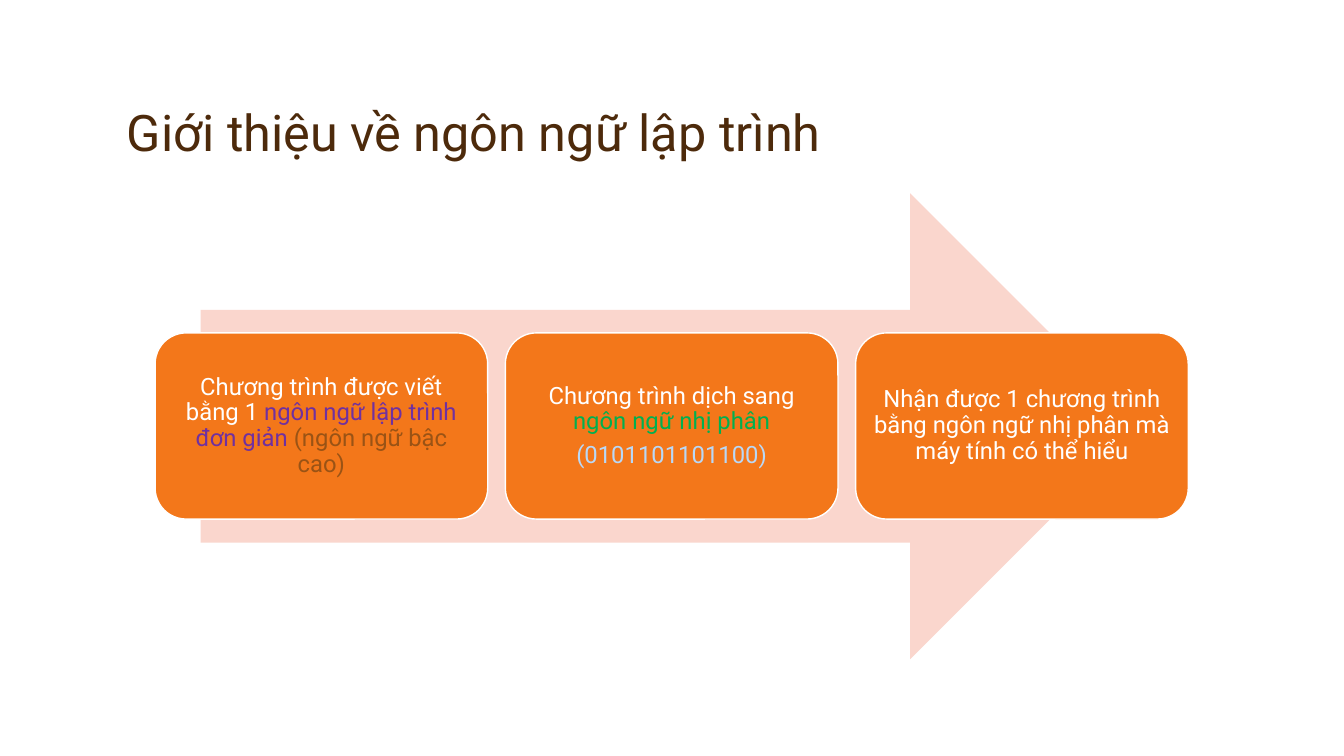
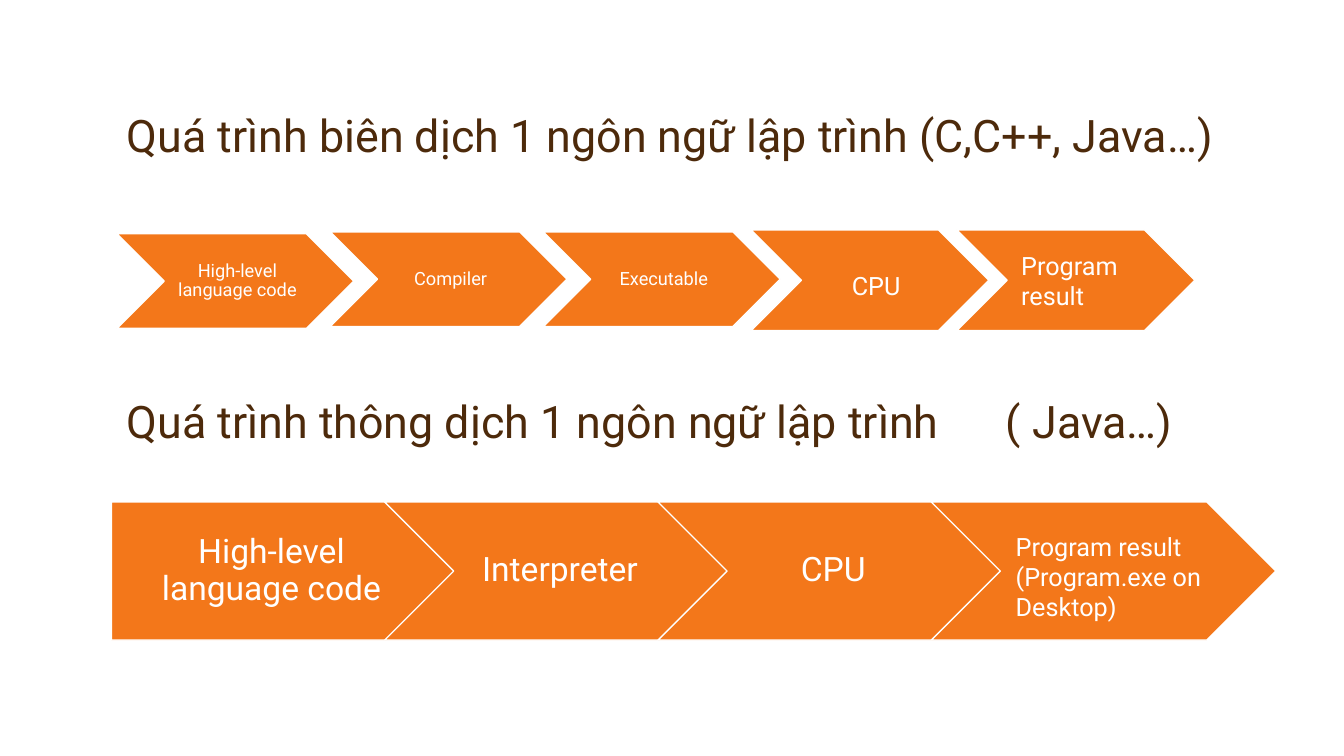
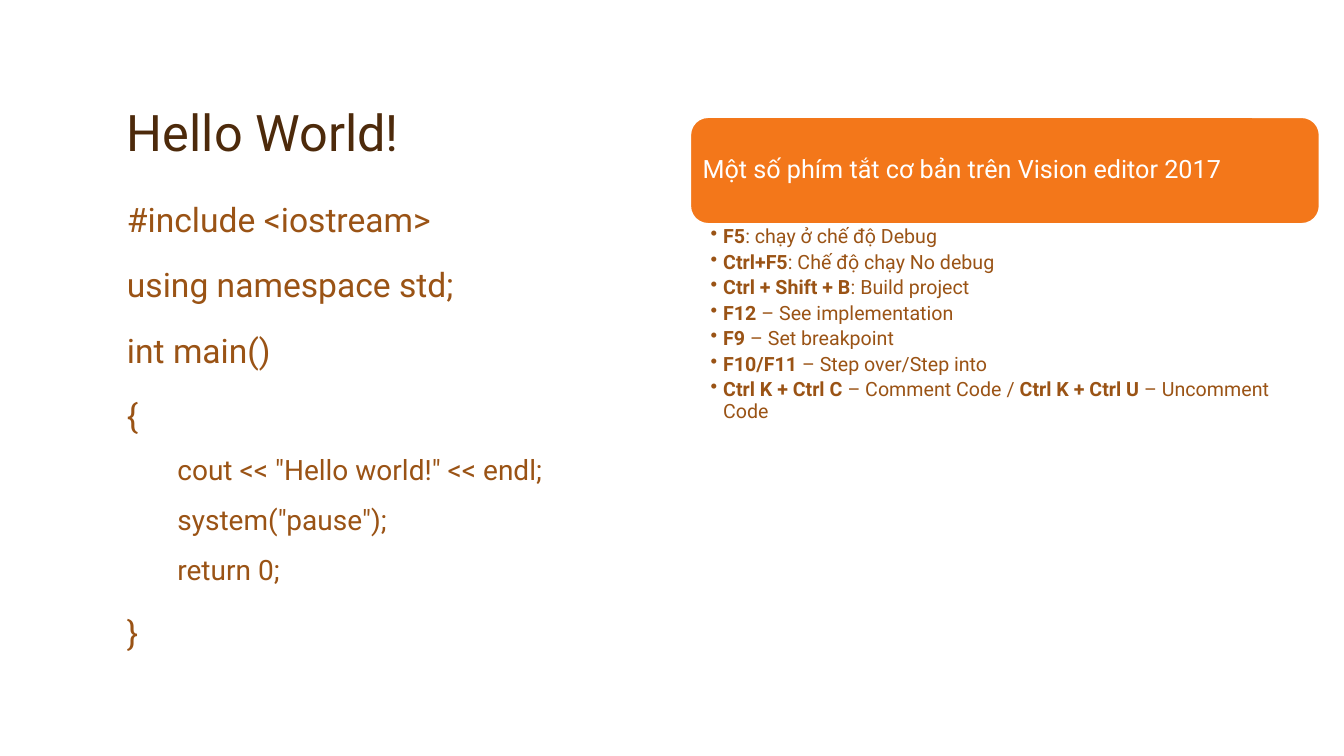
from dataclasses import dataclass
from typing import Optional

from lxml import etree
from pptx import Presentation
from pptx.dml.color import RGBColor
from pptx.enum import shapes, text
from pptx.oxml import ns
from pptx.util import Pt

Shape = shapes.MSO_SHAPE
Anchor = text.MSO_ANCHOR
Align = text.PP_ALIGN


@dataclass(frozen=True)
class Theme:
    font: str = "Roboto"
    title: str = "4D2A0B"
    body: str = "9A5315"
    accent: str = "F3771A"
    pale: str = "FAD6CD"
    white: str = "FFFFFF"
    purple: str = "7030A0"
    green: str = "00B050"
    sky: str = "B9D8F7"
    title_size: float = 36
    heading_size: float = 32
    large_size: float = 24
    nested_size: float = 20
    label_size: float = 18
    card_size: float = 17
    shortcut_size: float = 14
    small_size: float = 13
    tight: float = 0.9


THEME = Theme()


@dataclass(frozen=True)
class Box:
    left: float
    top: float
    width: float
    height: float


@dataclass(frozen=True)
class Span:
    words: str
    color: str = THEME.white
    bold: bool = False


@dataclass(frozen=True)
class Style:
    size: float
    align: Align = Align.CENTER
    anchor: Anchor = Anchor.MIDDLE
    insets: tuple[float, float, float, float] = (5, 5, 5, 5)
    spacing: float = THEME.tight
    gap: float = 0


@dataclass(frozen=True)
class Step:
    lines: tuple[str, ...]
    box: Box
    style: Style
    outline: Shape = Shape.CHEVRON


TITLE_BOX = Box(83.5, 23.8, 792, 95.8)
HEADING_STYLE = Style(THEME.heading_size, Align.LEFT, Anchor.BOTTOM, (7.2, 3.6, 7.2, 3.6))


# Shared helpers
def place(item, box: Box) -> None:
    item.left, item.top = Pt(box.left), Pt(box.top)
    item.width, item.height = Pt(box.width), Pt(box.height)


def format_run(run, size: float, color: str, bold: bool = False) -> None:
    run.font.name = THEME.font
    run.font.size = Pt(size)
    run.font.bold = bold
    run.font.color.rgb = RGBColor.from_string(color)


def format_frame(frame, style: Style) -> None:
    frame.word_wrap = True
    frame.auto_size = text.MSO_AUTO_SIZE.NONE
    frame.vertical_anchor = style.anchor
    frame.margin_left, frame.margin_top, frame.margin_right, frame.margin_bottom = map(
        Pt, style.insets)


def set_bullet(paragraph, mark: Optional[str], left: float, indent: float) -> None:
    properties = paragraph._p.get_or_add_pPr()
    properties.set("marL", str(Pt(left)))
    properties.set("indent", str(Pt(indent)))
    if mark:
        etree.SubElement(properties, ns.qn("a:buChar")).set("char", mark)
    else:
        etree.SubElement(properties, ns.qn("a:buNone"))


def write(frame, lines: list[list[Span]], style: Style, bullet: Optional[str] = None) -> None:
    """Fill a frame with paragraphs made of coloured spans."""
    format_frame(frame, style)
    for index, spans in enumerate(lines):
        paragraph = frame.add_paragraph() if index else frame.paragraphs[0]
        if bullet:
            set_bullet(paragraph, bullet, 9, -9)
        paragraph.alignment = style.align
        paragraph.line_spacing = style.spacing
        if index < len(lines) - 1:
            paragraph.space_after = Pt(style.gap)
        for span in spans:
            run = paragraph.add_run()
            run.text = span.words
            format_run(run, style.size, span.color, span.bold)


def add_title(slide, words: str, size: float = THEME.title_size) -> None:
    place(slide.shapes.title, TITLE_BOX)
    style = Style(size, Align.LEFT, Anchor.BOTTOM, HEADING_STYLE.insets)
    write(slide.shapes.title.text_frame, [[Span(words, THEME.title)]], style)


def add_panel(slide, outline: Shape, box: Box, fill: str = THEME.accent,
              line: Optional[str] = THEME.white):
    panel = slide.shapes.add_shape(
        outline, Pt(box.left), Pt(box.top), Pt(box.width), Pt(box.height))
    panel.shadow.inherit = False
    panel.fill.solid()
    panel.fill.fore_color.rgb = RGBColor.from_string(fill)
    if line:
        panel.line.color.rgb = RGBColor.from_string(line)
        panel.line.width = Pt(1)
    else:
        panel.line.fill.background()
    return panel


def add_text(slide, box: Box):
    return slide.shapes.add_textbox(
        Pt(box.left), Pt(box.top), Pt(box.width), Pt(box.height)).text_frame


def add_step(slide, step: Step) -> None:
    panel = add_panel(slide, step.outline, step.box)
    write(panel.text_frame, [[Span(line)] for line in step.lines], step.style)


# Slide 1: from source program to binary
def build_introduction(deck) -> None:
    slide = deck.slides.add_slide(deck.slide_layouts[5])
    add_title(slide, "Giới thiệu về ngôn ngữ lập trình")
    add_panel(slide, Shape.RIGHT_ARROW, Box(143.3, 138.2, 673.2, 332.6), THEME.pale, None)

    stages = [
        [[Span("Chương trình được viết bằng 1 "),
          Span("ngôn ngữ lập trình đơn giản ", THEME.purple),
          Span("(ngôn ngữ bậc cao)", THEME.body)]],
        [[Span("Chương trình dịch sang "), Span("ngôn ngữ nhị phân", THEME.green)],
         [Span("(0101101101100)", THEME.sky)]],
        [[Span("Nhận được 1 chương trình bằng ngôn ngữ nhị phân mà máy tính có thể hiểu")]],
    ]
    for index, lines in enumerate(stages):
        card = add_panel(slide, Shape.ROUNDED_RECTANGLE,
                         Box(110.8 + 250.2 * index, 237.8, 237.6, 133))
        write(card.text_frame, lines, Style(THEME.card_size, gap=5.4))


# Slide 2: compiling and interpreting
def label_style(left: float, top: float) -> Style:
    return Style(THEME.label_size, Align.LEFT, Anchor.TOP, (left, top, 0, 0), 1)


def build_processes(deck) -> None:
    slide = deck.slides.add_slide(deck.slide_layouts[5])
    add_title(slide, "Quá trình biên dịch 1 ngôn ngữ lập trình (C,C++, Java…)",
              THEME.heading_size)

    interpreting = add_text(slide, Box(83.5, 228.2, 792, 95.8))
    tabs = etree.SubElement(interpreting.paragraphs[0]._p.get_or_add_pPr(), ns.qn("a:tabLst"))
    stop = etree.SubElement(tabs, ns.qn("a:tab"))
    stop.set("pos", str(Pt(628)))
    stop.set("algn", "l")
    write(interpreting,
          [[Span("Quá trình thông dịch 1 ngôn ngữ lập trình\t( Java…)", THEME.title)]],
          HEADING_STYLE)

    small = Style(THEME.small_size, insets=(4.3, 1.4, 1.4, 1.4))
    compile_tops = {"High-level language code": 167, "Compiler": 165.6, "Executable": 165.6}
    compile_steps = [
        Step((name,), Box(83.5 + 152.3 * index, top, 169.2, 67.6), small)
        for index, (name, top) in enumerate(compile_tops.items())]
    compile_ends = [("CPU", label_style(36, 28.8)), ("Program result", label_style(10, 14.4))]
    compile_steps += [
        Step((name,), Box(536.4 + 147 * index, 164.2, 170, 72), style)
        for index, (name, style) in enumerate(compile_ends)]

    large = Style(THEME.large_size, insets=(7.2, 5, 2.9, 5))
    first = Style(THEME.large_size, insets=(10, 5, 2.9, 5))
    interpret_row = [
        (("High-level language code",), first, Shape.PENTAGON),
        (("Interpreter",), large, Shape.CHEVRON),
        (("CPU",), large, Shape.CHEVRON),
        (("Program result", "(Program.exe on Desktop)"), label_style(11, 20.9), Shape.CHEVRON)]
    interpret_steps = [
        Step(lines, Box(79.6 + 195.2 * index, 358.6, 246.2, 98.6), style, outline)
        for index, (lines, style, outline) in enumerate(interpret_row)]

    for step in compile_steps + interpret_steps:
        add_step(slide, step)


# Slide 3: first program and keyboard shortcuts
def build_hello_world(deck) -> None:
    slide = deck.slides.add_slide(deck.slide_layouts[1])
    add_title(slide, "Hello World!")

    code = [
        (0, "#include <iostream>"),
        (0, "using namespace std;"),
        (0, "int main()"),
        (0, "{"),
        (1, 'cout << "Hello world!" << endl;'),
        (1, 'system("pause");'),
        (1, "return 0;"),
        (0, "}"),
    ]
    program = slide.placeholders[1]
    place(program, Box(83.5, 138.2, 792, 332.6))
    frame = program.text_frame
    frame.text = "\n".join(line for _, line in code)
    format_frame(frame, Style(THEME.large_size, anchor=Anchor.TOP, insets=HEADING_STYLE.insets))
    for index, (paragraph, (level, _)) in enumerate(zip(frame.paragraphs, code)):
        set_bullet(paragraph, None, 36 * level, 0)
        paragraph.level = level
        paragraph.line_spacing = 1
        paragraph.space_before = Pt(0 if index == 0 else 12 if level else 18)
        size = THEME.nested_size if level else THEME.large_size
        format_run(paragraph.runs[0], size, THEME.body)

    heading = add_panel(slide, Shape.ROUNDED_RECTANGLE, Box(493.2, 83.8, 449.3, 76))
    write(heading.text_frame, [[Span("Một số phím tắt cơ bản trên Vision editor 2017")]],
          Style(THEME.label_size, Align.LEFT))

    shortcuts = [
        [("F5", ": chạy ở chế độ Debug")],
        [("Ctrl+F5", ": Chế độ chạy No debug")],
        [("Ctrl + Shift + B", ": Build project")],
        [("F12", " – See implementation")],
        [("F9", " – Set breakpoint")],
        [("F10/F11", " – Step over/Step into")],
        [("Ctrl K + Ctrl C", " – Comment Code / "), ("Ctrl K + Ctrl U", " – Uncomment Code")],
    ]
    lines = [
        [span for keys, action in pairs
         for span in (Span(keys, THEME.body, True), Span(action, THEME.body))]
        for pairs in shortcuts]
    write(add_text(slide, Box(493.2, 159.8, 449.3, 265)), lines,
          Style(THEME.shortcut_size, Align.LEFT, Anchor.TOP, (14.4, 2.2, 10, 2.2), gap=3.1),
          bullet="•")


def main() -> None:
    deck = Presentation()
    deck.slide_width, deck.slide_height = Pt(960), Pt(540)
    build_introduction(deck)
    build_processes(deck)
    build_hello_world(deck)
    deck.save("out.pptx")


if __name__ == "__main__":
    main()
